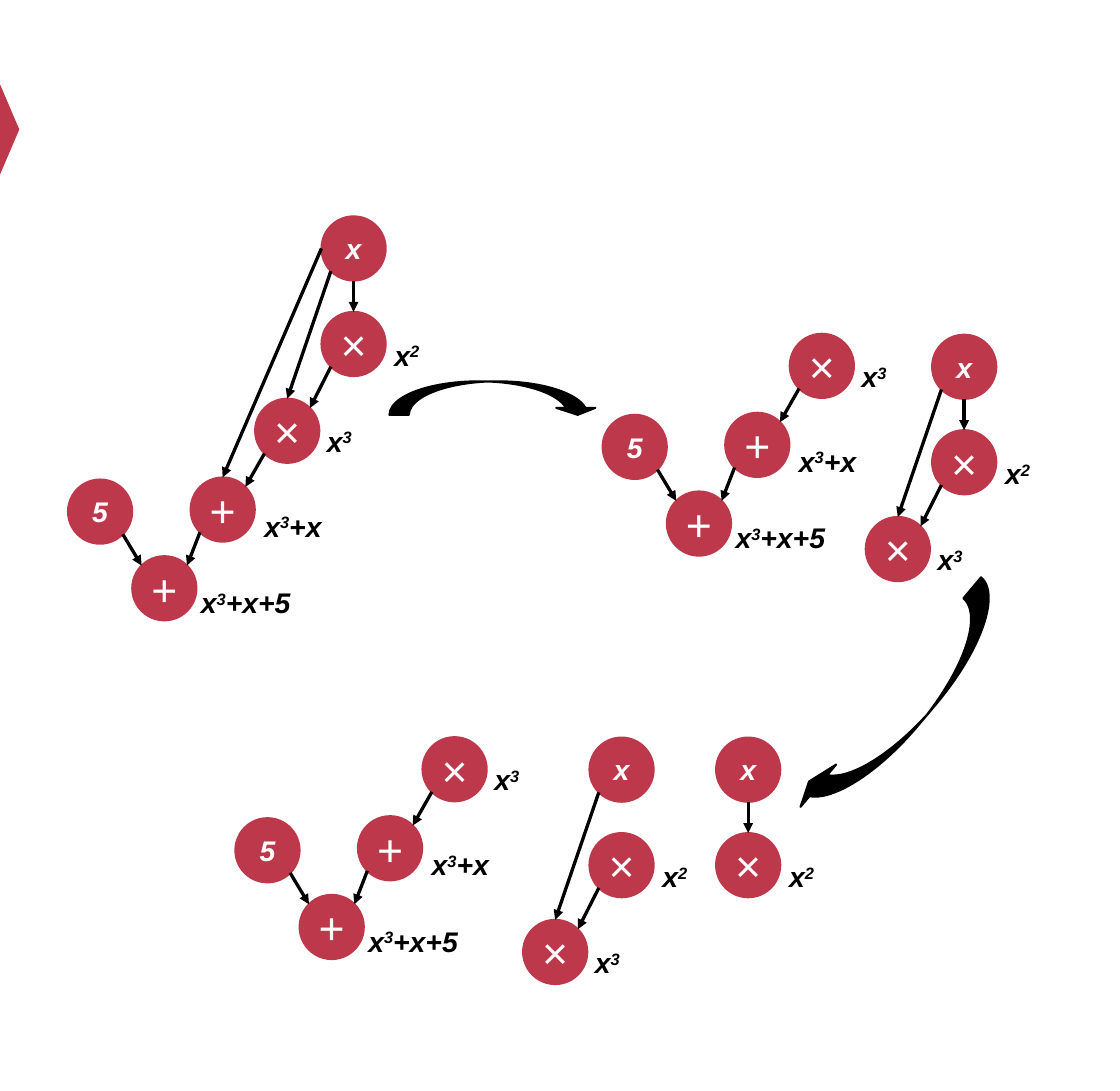
from dataclasses import dataclass

from lxml import etree
from pptx import Presentation
from pptx.dml.color import RGBColor
from pptx.enum.shapes import MSO_CONNECTOR, MSO_SHAPE
from pptx.enum.text import MSO_ANCHOR, PP_ALIGN
from pptx.oxml.ns import qn
from pptx.util import Pt

STRAIGHT = MSO_CONNECTOR.STRAIGHT
ELLIPSE = MSO_SHAPE.OVAL
TRIANGLE = MSO_SHAPE.ISOSCELES_TRIANGLE
CURVED_ARROW = MSO_SHAPE.CURVED_DOWN_ARROW
CENTER = PP_ALIGN.CENTER
MIDDLE = MSO_ANCHOR.MIDDLE


@dataclass(frozen=True)
class Theme:
    accent: RGBColor = RGBColor(0xBE, 0x38, 0x4B)
    ink: RGBColor = RGBColor(0, 0, 0)
    light: RGBColor = RGBColor(255, 255, 255)
    font: str = "Arial"
    text_size: float = 28
    operator_size: float = 44
    edge_width: float = 3.25
    outline_width: float = 2


THEME = Theme()
DIAMETER = 63.4
DIAGONAL = 0.125 ** 0.5
SITES = {
    "top": (0.5, 0),
    "left": (0, 0.5),
    "bottom": (0.5, 1),
    "bottom left": (0.5 - DIAGONAL, 0.5 + DIAGONAL),
    "bottom right": (0.5 + DIAGONAL, 0.5 + DIAGONAL),
    "top left": (0.5 - DIAGONAL, 0.5 - DIAGONAL),
    "top right": (0.5 + DIAGONAL, 0.5 - DIAGONAL),
}
SQUARE = ("x", "2")
CUBE = ("x", "3")
CUBE_PLUS_X = ("x", "3", "+x")
POLYNOMIAL = ("x", "3", "+x+5")
LABELS = {
    SQUARE: (50.5, 22.3, 67.7),
    CUBE: (51.9, 21.6, 62.6),
    CUBE_PLUS_X: (55.4, 27.4, 91.4),
    POLYNOMIAL: (50.4, 25.2, 123.1),
}


def style_font(font, size, color, emphasized):
    font.name = THEME.font
    font.size = Pt(size)
    font.color.rgb = color
    font.bold = font.italic = emphasized


def add_solid(slide, preset, left, top, width, height, color, outlined=True):
    shape = slide.shapes.add_shape(preset, Pt(left), Pt(top), Pt(width), Pt(height))
    shape.shadow.inherit = False
    shape.fill.solid()
    shape.fill.fore_color.rgb = color
    if outlined:
        shape.line.color.rgb = color
        shape.line.width = Pt(THEME.outline_width)
    else:
        shape.line.fill.background()
    return shape


def add_label(slide, left, top, parts):
    offset_x, offset_y, width = LABELS[parts]
    box = slide.shapes.add_textbox(
        Pt(left + offset_x), Pt(top + offset_y), Pt(width), Pt(41)
    )
    box.text_frame.word_wrap = True
    paragraph = box.text_frame.paragraphs[0]
    paragraph.alignment = CENTER
    for part in parts:
        run = paragraph.add_run()
        run.text = part
        style_font(run.font, THEME.text_size, THEME.ink, True)
        if part.isdigit():
            run._r.get_or_add_rPr().set("baseline", "30000")


def add_node(slide, left, top, symbol, label=None):
    node = add_solid(slide, ELLIPSE, left, top, DIAMETER, DIAMETER, THEME.accent)
    frame = node.text_frame
    frame.margin_left = frame.margin_right = frame.margin_top = frame.margin_bottom = 0
    frame.word_wrap = False
    frame.vertical_anchor = MIDDLE
    frame.text = symbol
    paragraph = frame.paragraphs[0]
    paragraph.alignment = CENTER
    is_operator = symbol in "+×"
    size = THEME.operator_size if is_operator else THEME.text_size
    style_font(paragraph.runs[0].font, size, THEME.light, not is_operator)
    if label:
        add_label(slide, left, top, label)
    return node


def site_point(node, site):
    across, down = SITES[site]
    return int(node.left + across * node.width), int(node.top + down * node.height)


def add_edge(slide, source, source_site, target, target_site):
    edge = slide.shapes.add_connector(
        STRAIGHT, *site_point(source, source_site), *site_point(target, target_site)
    )
    edge.line.color.rgb = THEME.ink
    edge.line.width = Pt(THEME.edge_width)
    line = edge.line._get_or_add_ln()
    etree.SubElement(line, qn("a:tailEnd"), type="triangle")
    etree.SubElement(edge._element.spPr, qn("a:effectLst"))


def add_square_graph(slide, left, top, joined=True):
    variable = add_node(slide, left, top, "x")
    square = add_node(slide, left, top + 94.3, "×", SQUARE)
    if joined:
        add_edge(slide, variable, "bottom", square, "top")
    return variable, square


def add_cube_graph(slide, left, top, joined=True):
    variable, square = add_square_graph(slide, left, top, joined)
    cube = add_node(slide, left - 65.5, top + 180, "×", CUBE)
    add_edge(slide, variable, "bottom left", cube, "top")
    add_edge(slide, square, "bottom left", cube, "top right")
    return variable, cube


def add_sum_graph(slide, left, top, cube=None):
    if cube is None:
        cube = add_node(slide, left, top, "×", CUBE)
    partial_sum = add_node(slide, left - 63.7, top + 78, "+", CUBE_PLUS_X)
    constant = add_node(slide, left - 184.7, top + 80, "5")
    total = add_node(slide, left - 121.3, top + 155.7, "+", POLYNOMIAL)
    add_edge(slide, cube, "bottom left", partial_sum, "top right")
    add_edge(slide, partial_sum, "bottom left", total, "top right")
    add_edge(slide, constant, "bottom right", total, "top left")
    return partial_sum


def add_step_arrow(slide, left, top, width, height, rotation=0):
    arrow = add_solid(slide, CURVED_ARROW, left, top, width, height, THEME.ink)
    arrow.rotation = rotation
    for index, value in enumerate((0.58, 1.168, 0.207)):
        arrow.adjustments[index] = value


def main():
    presentation = Presentation()
    presentation.slide_width = Pt(1105.51)
    presentation.slide_height = Pt(1077.17)
    slide = presentation.slides.add_slide(presentation.slide_layouts[6])

    marker = add_solid(
        slide, TRIANGLE, -36, 118.1, 90.7, 19.4, THEME.accent, outlined=False
    )
    marker.rotation = 90

    variable, cube = add_cube_graph(slide, 317.3, 213.6)
    partial_sum = add_sum_graph(slide, 251.8, 393.4, cube)
    add_edge(slide, variable, "left", partial_sum, "top")

    add_step_arrow(slide, 384.4, 376.5, 205.2, 33.1)
    add_sum_graph(slide, 779.5, 329.5)
    add_cube_graph(slide, 920, 330.4)

    add_step_arrow(slide, 747.1, 672.9, 290.9, 46.8, 130.1)
    add_sum_graph(slide, 417, 727.8)
    add_cube_graph(slide, 581.8, 728.2, joined=False)
    add_square_graph(slide, 706.8, 728.2)

    presentation.save("out.pptx")


if __name__ == "__main__":
    main()
